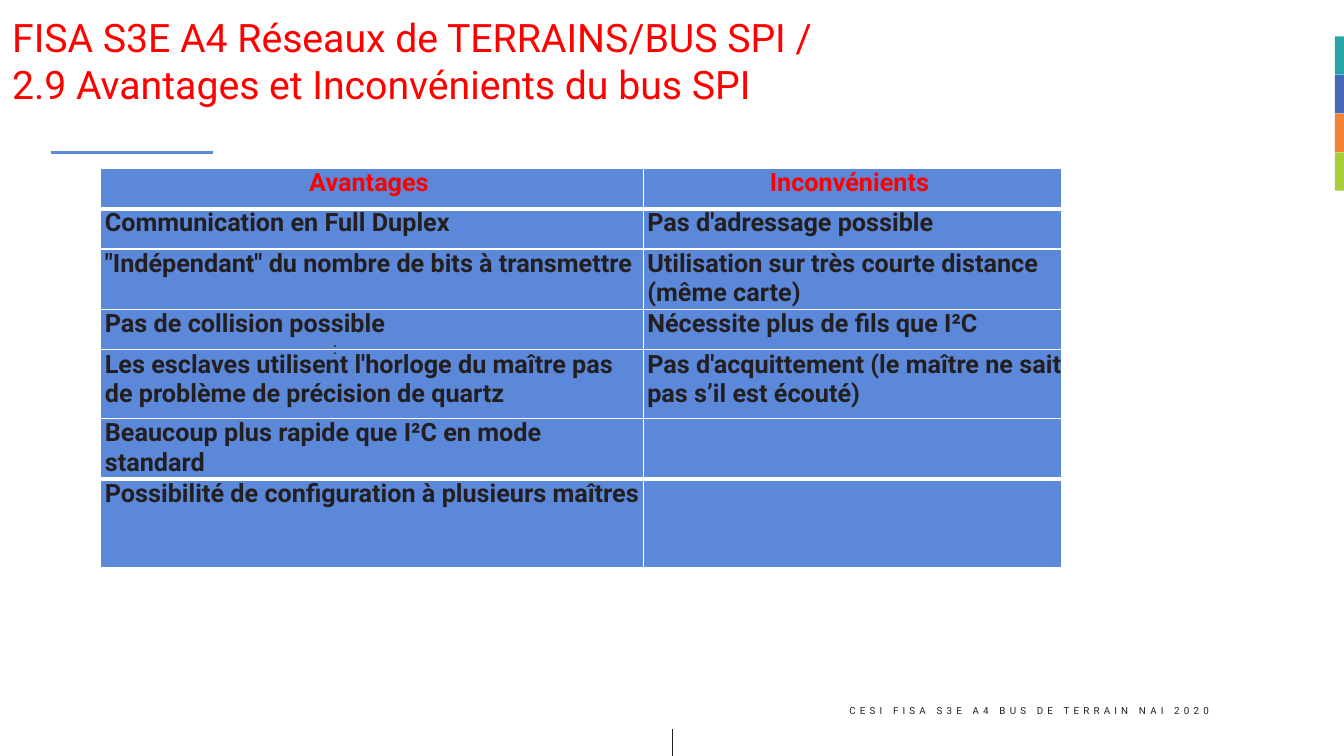
from dataclasses import dataclass

from lxml.etree import SubElement
from pptx import Presentation
from pptx.dml.color import RGBColor
from pptx.enum.shapes import MSO_CONNECTOR as Connector, MSO_SHAPE as Shape
from pptx.enum.text import MSO_ANCHOR as Anchor, MSO_AUTO_SIZE as AutoSize, PP_ALIGN as Align
from pptx.oxml.ns import qn
from pptx.util import Inches, Pt

COLORS = {
    "red": "FF0000",
    "ink": "231F20",
    "blue": "5C88DA",
    "white": "FFFFFF",
    "teal": "27A4AA",
    "indigo": "4469B8",
    "orange": "F58134",
    "green": "A7CD39",
}
TITLE = (
    "FISA S3E A4 Réseaux de TERRAINS/BUS SPI /\n"
    "2.9 Avantages et Inconvénients du bus SPI"
)
ROWS = [
    ("Avantages", "Inconvénients"),
    ("Communication en Full Duplex", "Pas d'adressage possible"),
    ('"Indépendant" du nombre de bits à transmettre',
     "Utilisation sur très courte distance (même carte)"),
    ("Pas de collision possible", "Nécessite plus de fils que I²C"),
    ("Les esclaves utilisent l'horloge du maître pas de problème de précision de quartz",
     "Pas d'acquittement (le maître ne sait pas s’il est écouté)"),
    ("Beaucoup plus rapide que I²C en mode standard", ""),
    ("Possibilité de configuration à plusieurs maîtres", ""),
]
ROW_HEIGHTS = [0.4, 0.4, 0.59, 0.4, 0.68, 0.43, 0.88]
COLUMN_WIDTHS = [5.38, 4.15]
HEADER_INDENTS = [1.28, 1.15]
HEAVY_EDGES = {1, len(ROWS) - 1}


@dataclass
class Rule:
    start: tuple[float, float]
    end: tuple[float, float]
    color: str
    width: float


@dataclass
class Label:
    text: str
    box: tuple[float, float, float, float]
    size: float
    font: str
    align: Align
    anchor: Anchor
    wrap: bool
    spacing: int


RULES = [
    Rule((6.67, 7.51), (6.67, 7.23), "ink", 1),
    Rule((0.51, 1.51), (2.11, 1.51), "blue", 2),
]
LABELS = [
    Label(":", (3.2, 3.3, 0.25, 0.61), 12, "Arial", Align.LEFT, Anchor.TOP, False, 0),
    Label("CESI FISA S3E A4 BUS DE TERRAIN NAI 2020", (6.94, 6.85, 5.15, 0.4),
          7, "Roboto", Align.RIGHT, Anchor.MIDDLE, True, 300),
]


def rgb(name: str) -> RGBColor:
    return RGBColor.from_string(COLORS[name])


def format_runs(paragraph, size: float, color: str, font: str = "Roboto", bold: bool = False) -> None:
    for run in paragraph.runs:
        run.font.name = font
        run.font.size = Pt(size)
        run.font.bold = bold
        run.font.color.rgb = rgb(color)


def set_indent(paragraph, left: float, right: float = 0) -> None:
    properties = paragraph._p.get_or_add_pPr()
    properties.set("marL", str(Inches(left)))
    properties.set("marR", str(Inches(right)))
    properties.set("indent", "0")


def draw_rule(slide, rule: Rule) -> None:
    points = [Inches(value) for value in rule.start + rule.end]
    connector = slide.shapes.add_connector(Connector.STRAIGHT, *points)
    connector.line.color.rgb = rgb(rule.color)
    connector.line.width = Pt(rule.width)
    SubElement(connector._element.spPr, qn("a:effectLst"))


def draw_color_tabs(slide) -> None:
    group = slide.shapes.add_group_shape()
    for index, color in enumerate(["teal", "indigo", "orange", "green"]):
        tab = group.shapes.add_shape(
            Shape.RECTANGLE, Inches(13.24), Inches(0.36 + index * 0.384), Inches(0.1), Inches(0.38)
        )
        tab.shadow.inherit = False
        tab.fill.solid()
        tab.fill.fore_color.rgb = rgb(color)
        tab.line.fill.background()


def draw_title(slide) -> None:
    title = slide.shapes.title
    title.left, title.top = Inches(-0.81), Inches(0.03)
    title.width, title.height = Inches(10.56), Inches(1.04)
    frame = title.text_frame
    frame.text = TITLE
    frame.word_wrap = True
    frame.auto_size = AutoSize.SHAPE_TO_FIT_TEXT
    frame.vertical_anchor = Anchor.MIDDLE
    frame.margin_left, frame.margin_top = Inches(0.43), Inches(0.09)
    frame.margin_right, frame.margin_bottom = Inches(0.1), 0
    for paragraph in frame.paragraphs:
        paragraph.alignment = Align.LEFT
        set_indent(paragraph, 0.5)
        format_runs(paragraph, 28, "red")


def draw_borders(cell, row: int) -> None:
    widths = {
        "a:lnL": 1,
        "a:lnR": 1,
        "a:lnT": 3 if row in HEAVY_EDGES else 1,
        "a:lnB": 3 if row + 1 in HEAVY_EDGES else 1,
    }
    properties = cell._tc.get_or_add_tcPr()
    for tag, width in widths.items():
        line = SubElement(properties, qn(tag), w=str(Pt(width)))
        fill = SubElement(line, qn("a:solidFill"))
        SubElement(fill, qn("a:srgbClr"), val=COLORS["white"])


def fill_cell(cell, row: int, column: int) -> None:
    draw_borders(cell, row)
    cell.fill.solid()
    cell.fill.fore_color.rgb = rgb("blue")
    text = ROWS[row][column]
    if not text:
        return
    cell.margin_left = cell.margin_right = cell.margin_top = cell.margin_bottom = 0
    cell.text_frame.text = text
    paragraph = cell.text_frame.paragraphs[0]
    if row == 0:
        paragraph.alignment = Align.CENTER
        indent = HEADER_INDENTS[column]
        set_indent(paragraph, indent, indent + 0.06)
    else:
        set_indent(paragraph, 0.04)
    format_runs(paragraph, 18, "red" if row == 0 else "ink", bold=True)


def draw_table(slide) -> None:
    table = slide.shapes.add_table(
        len(ROWS), len(COLUMN_WIDTHS), Inches(1), Inches(1.67),
        Inches(sum(COLUMN_WIDTHS)), Inches(sum(ROW_HEIGHTS)),
    ).table
    table.first_row = table.horz_banding = False
    for column, width in enumerate(COLUMN_WIDTHS):
        table.columns[column].width = Inches(width)
    for row, height in enumerate(ROW_HEIGHTS):
        table.rows[row].height = Inches(height)
        for column in range(len(COLUMN_WIDTHS)):
            fill_cell(table.cell(row, column), row, column)


def draw_label(slide, label: Label) -> None:
    frame = slide.shapes.add_textbox(*[Inches(value) for value in label.box]).text_frame
    frame.text = label.text
    frame.word_wrap = label.wrap
    frame.vertical_anchor = label.anchor
    paragraph = frame.paragraphs[0]
    paragraph.alignment = label.align
    format_runs(paragraph, label.size, "ink", label.font)
    if label.spacing:
        paragraph.runs[0]._r.get_or_add_rPr().set("spc", str(label.spacing))


def main() -> None:
    presentation = Presentation()
    presentation.slide_width, presentation.slide_height = Inches(13.33), Inches(7.5)
    slide = presentation.slides.add_slide(presentation.slide_layouts[5])
    for rule in RULES:
        draw_rule(slide, rule)
    draw_color_tabs(slide)
    draw_title(slide)
    draw_table(slide)
    for label in LABELS:
        draw_label(slide, label)
    presentation.save("out.pptx")


if __name__ == "__main__":
    main()
